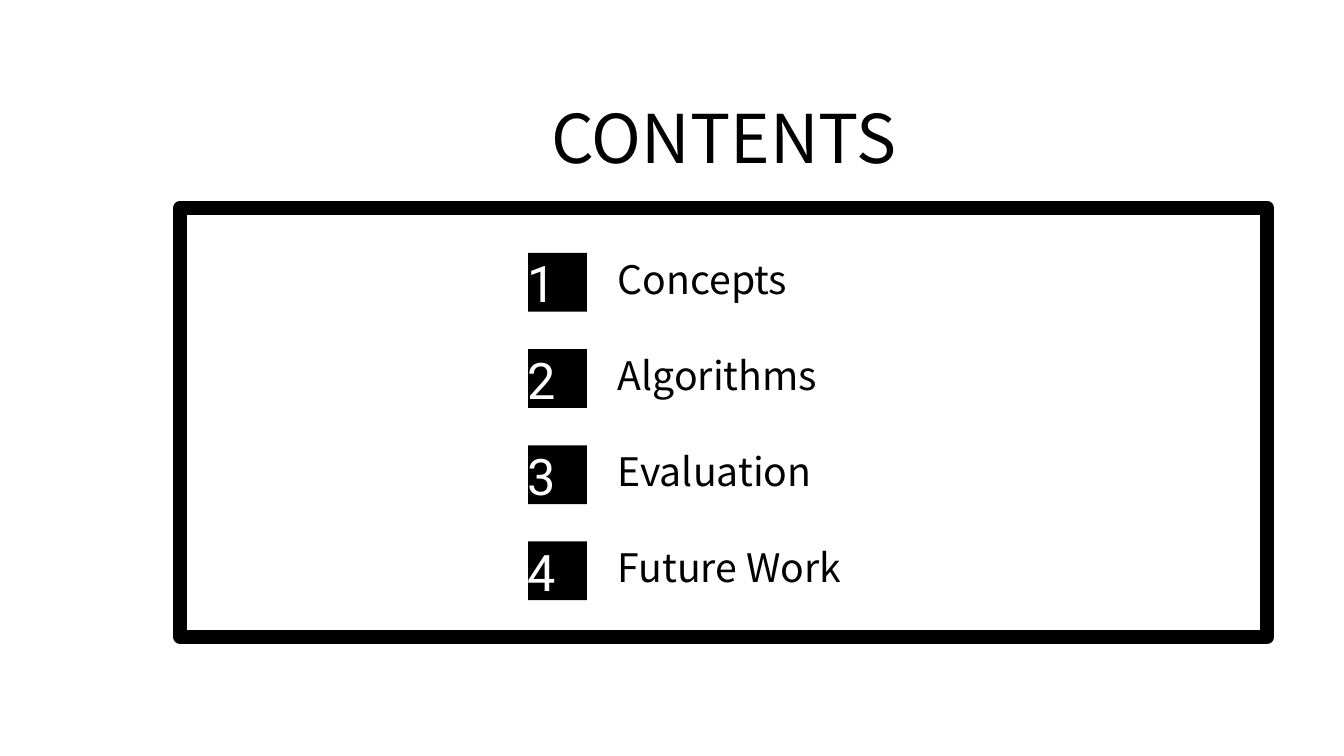
"""Build the contents slide with four numbered entries."""
from pptx import Presentation
from pptx.dml.color import RGBColor
from pptx.enum.shapes import MSO_SHAPE
from pptx.enum.text import MSO_ANCHOR, MSO_AUTO_SIZE, PP_ALIGN
from pptx.util import Pt

TITLE = "CONTENTS"
TOPICS = ["Concepts", "Algorithms", "Evaluation", "Future Work"]

BLACK = RGBColor(0x00, 0x00, 0x00)
WHITE = RGBColor(0xFF, 0xFF, 0xFF)
SANS, ROBOTO = "Noto Sans CJK SC", "Roboto"
RECT = MSO_SHAPE.RECTANGLE
MIDDLE = MSO_ANCHOR.MIDDLE
FIXED = MSO_AUTO_SIZE.NONE
LEFT, CENTER, JUSTIFY = PP_ALIGN.LEFT, PP_ALIGN.CENTER, PP_ALIGN.JUSTIFY

FRAME = (128.9, 148.3, 776.2, 306.7)
HEAD = (324.7, 64.8, 384.5, 65.5)
FIRST, PITCH = 180.7, 68.7
TILE = (377.3, 0, 42, 42)
DIGIT = (369.4, -4.3, 56.9, 51.1)
LABEL = (434.2, -2.2, 384.5, 41)

FONTS = {
    "head": {"name": SANS, "size": Pt(48), "bold": False},
    "digit": {"name": ROBOTO, "size": Pt(36)},
    "label": {"name": SANS, "size": Pt(28)},
}


def place(box, down=0):
    """Return a box in points, moved down."""
    x, y, w, h = box
    return Pt(x), Pt(y + down), Pt(w), Pt(h)


def write(shape, text, style, color, align):
    """Put one formatted line into a shape."""
    frame = shape.text_frame
    frame.word_wrap = True
    frame.auto_size = FIXED
    frame.vertical_anchor = MIDDLE
    para = frame.paragraphs[0]
    para.alignment = align
    run = para.add_run()
    run.text = text
    for key, value in FONTS[style].items():
        setattr(run.font, key, value)
    run.font.color.rgb = color


def main():
    """Draw the slide and save it."""
    deck = Presentation()
    deck.slide_width, deck.slide_height = Pt(960), Pt(540)
    slide = deck.slides.add_slide(deck.slide_layouts[5])

    frame = slide.shapes.add_shape(RECT, *place(FRAME))
    frame.shadow.inherit = False
    frame.fill.background()
    frame.line.color.rgb = BLACK
    frame.line.width = Pt(10)

    title = slide.shapes.title
    title.left, title.top, title.width, title.height = place(HEAD)
    write(title, TITLE, "head", BLACK, CENTER)

    for i, topic in enumerate(TOPICS):
        top = FIRST + i * PITCH
        entry = slide.shapes.add_group_shape().shapes
        tile = entry.add_shape(RECT, *place(TILE, top))
        tile.shadow.inherit = False
        tile.fill.solid()
        tile.fill.fore_color.rgb = BLACK
        tile.line.fill.background()
        digit = entry.add_textbox(*place(DIGIT, top))
        write(digit, str(i + 1), "digit", WHITE, JUSTIFY)
        label = entry.add_textbox(*place(LABEL, top))
        write(label, topic, "label", BLACK, LEFT)

    deck.save("out.pptx")


if __name__ == "__main__":
    main()
